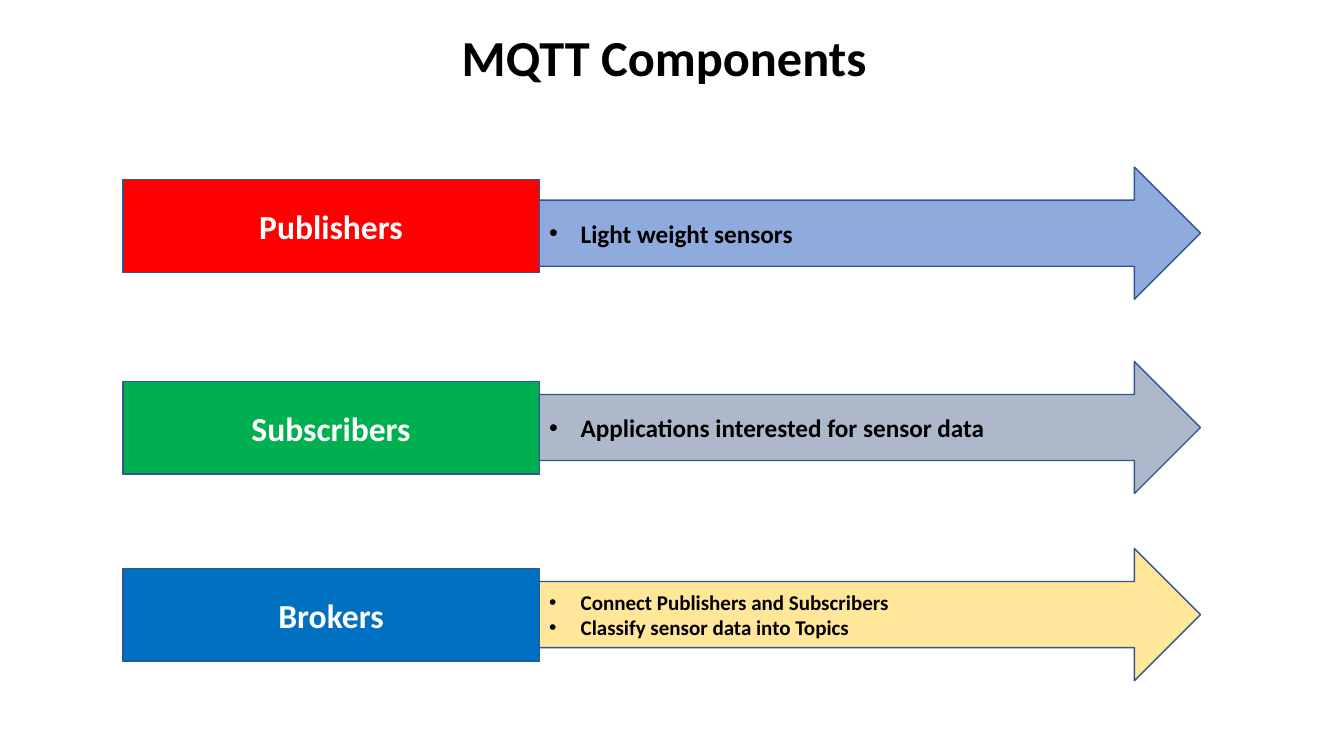
from dataclasses import dataclass

from lxml import etree
from pptx import Presentation
from pptx import util as u
from pptx.dml.color import RGBColor
from pptx.enum import shapes, text
from pptx.oxml import ns

BLACK = RGBColor(0x00, 0x00, 0x00)
WHITE = RGBColor(0xFF, 0xFF, 0xFF)
OUTLINE = RGBColor(0x32, 0x54, 0x91)
RED = RGBColor(0xFF, 0x00, 0x00)
GREEN = RGBColor(0x00, 0xB0, 0x50)
BLUE = RGBColor(0x00, 0x70, 0xC0)
PALE_BLUE = RGBColor(0x8F, 0xAA, 0xDC)
GREY_BLUE = RGBColor(0xAD, 0xB9, 0xCA)
PALE_YELLOW = RGBColor(0xFF, 0xE6, 0x99)

LABEL_LEFT, LABEL_WIDTH, LABEL_HEIGHT = 87.84, 297.36, 66.24
ARROW_LEFT = LABEL_LEFT + LABEL_WIDTH
ARROW_WIDTH, ARROW_HEIGHT = 472.32, 94.4
BULLET_INDENT = 22.5


@dataclass
class Component:
    name: str
    label_top: float
    label_fill: RGBColor
    arrow_top: float
    arrow_fill: RGBColor
    roles: list[str]
    role_size: float = 18


COMPONENTS = [
    Component("Publishers", 128.4, RED, 119.4, PALE_BLUE, ["Light weight sensors"]),
    Component("Subscribers", 272.4, GREEN, 258.2, GREY_BLUE,
              ["Applications interested for sensor data"]),
    Component("Brokers", 406.2, BLUE, 391.8, PALE_YELLOW,
              ["Connect Publishers and Subscribers", "Classify sensor data into Topics"], 15),
]


def add_bullet(paragraph) -> None:
    properties = paragraph._p.get_or_add_pPr()
    properties.set("marL", str(u.Pt(BULLET_INDENT)))
    properties.set("indent", str(-u.Pt(BULLET_INDENT)))
    etree.SubElement(properties, ns.qn("a:buFont"), typeface="Arial")
    etree.SubElement(properties, ns.qn("a:buChar"), char="•")


def write_text(shape, lines: list[str], *, size: float, color: RGBColor,
               align=text.PP_ALIGN.CENTER, anchor=text.MSO_ANCHOR.MIDDLE,
               bulleted: bool = False, line_spacing: float | None = None,
               space_before: float = 0) -> None:
    frame = shape.text_frame
    frame.word_wrap = True
    frame.vertical_anchor = anchor
    for index, line in enumerate(lines):
        paragraph = frame.add_paragraph() if index else frame.paragraphs[0]
        paragraph.alignment = align
        paragraph.line_spacing = line_spacing
        paragraph.space_before = u.Pt(space_before)
        if bulleted:
            add_bullet(paragraph)
        run = paragraph.add_run()
        run.text = line
        run.font.name = "Calibri"
        run.font.size = u.Pt(size)
        run.font.bold = True
        run.font.color.rgb = color


def add_block(slide, kind: shapes.MSO_SHAPE, left: float, top: float,
              width: float, height: float, fill: RGBColor):
    shape = slide.shapes.add_shape(kind, u.Pt(left), u.Pt(top), u.Pt(width), u.Pt(height))
    shape.shadow.inherit = False
    shape.fill.solid()
    shape.fill.fore_color.rgb = fill
    shape.line.color.rgb = OUTLINE
    shape.line.width = u.Pt(1)
    return shape


def add_component(slide, component: Component) -> None:
    label = add_block(slide, shapes.MSO_SHAPE.RECTANGLE, LABEL_LEFT, component.label_top,
                      LABEL_WIDTH, LABEL_HEIGHT, component.label_fill)
    write_text(label, [component.name], size=24, color=WHITE)
    arrow = add_block(slide, shapes.MSO_SHAPE.RIGHT_ARROW, ARROW_LEFT, component.arrow_top,
                      ARROW_WIDTH, ARROW_HEIGHT, component.arrow_fill)
    write_text(arrow, component.roles, size=component.role_size, color=BLACK,
               align=text.PP_ALIGN.LEFT, bulleted=True)


def main() -> None:
    presentation = Presentation()
    presentation.slide_width, presentation.slide_height = u.Pt(960), u.Pt(540)
    slide = presentation.slides.add_slide(presentation.slide_layouts[6])
    title = slide.shapes.add_textbox(u.Pt(15.84), u.Pt(20.16), u.Pt(917.28), u.Pt(506.16))
    write_text(title, ["MQTT Components"], size=36, color=BLACK,
               anchor=text.MSO_ANCHOR.TOP, line_spacing=0.9, space_before=10)
    for component in COMPONENTS:
        add_component(slide, component)
    presentation.save("out.pptx")


if __name__ == "__main__":
    main()
